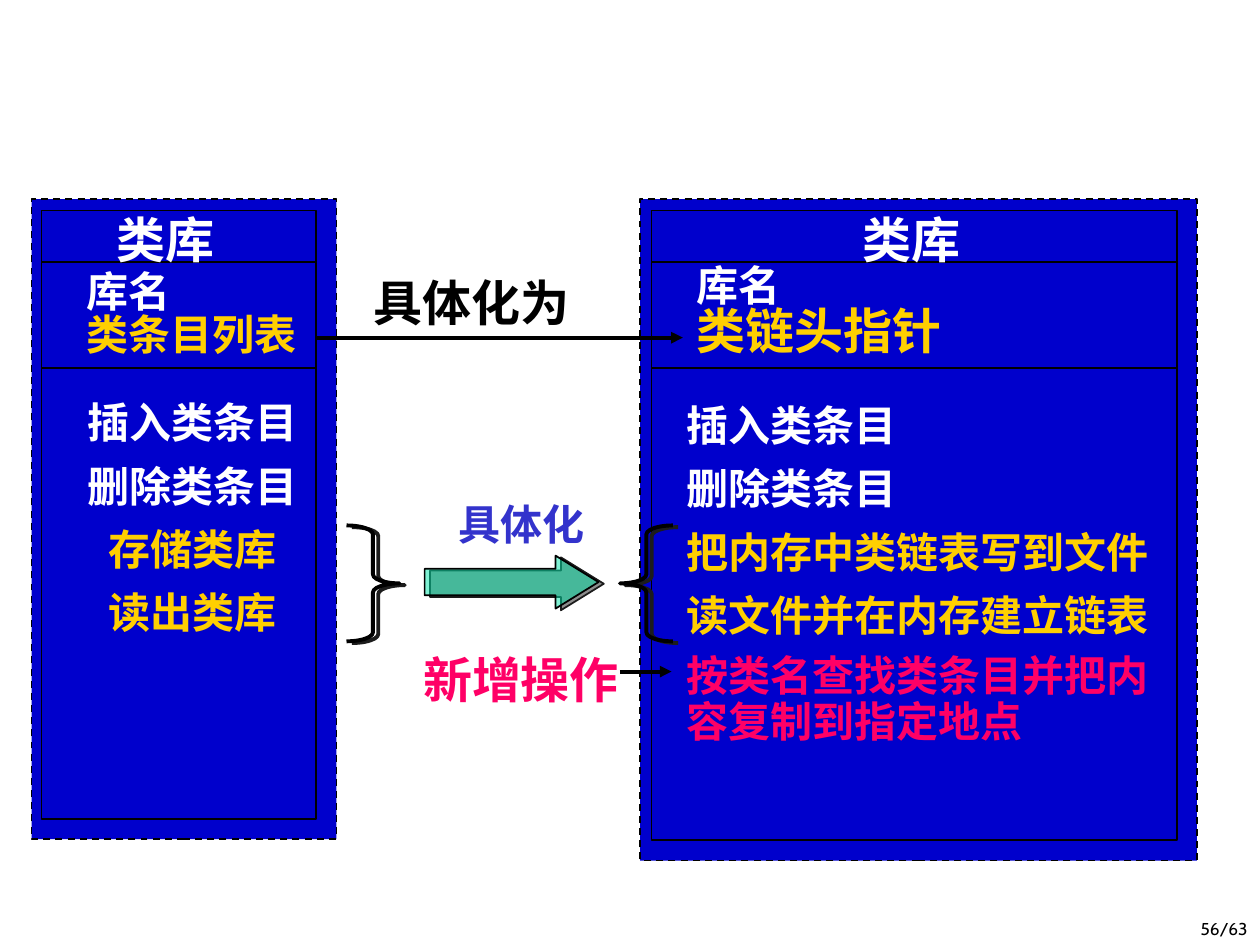
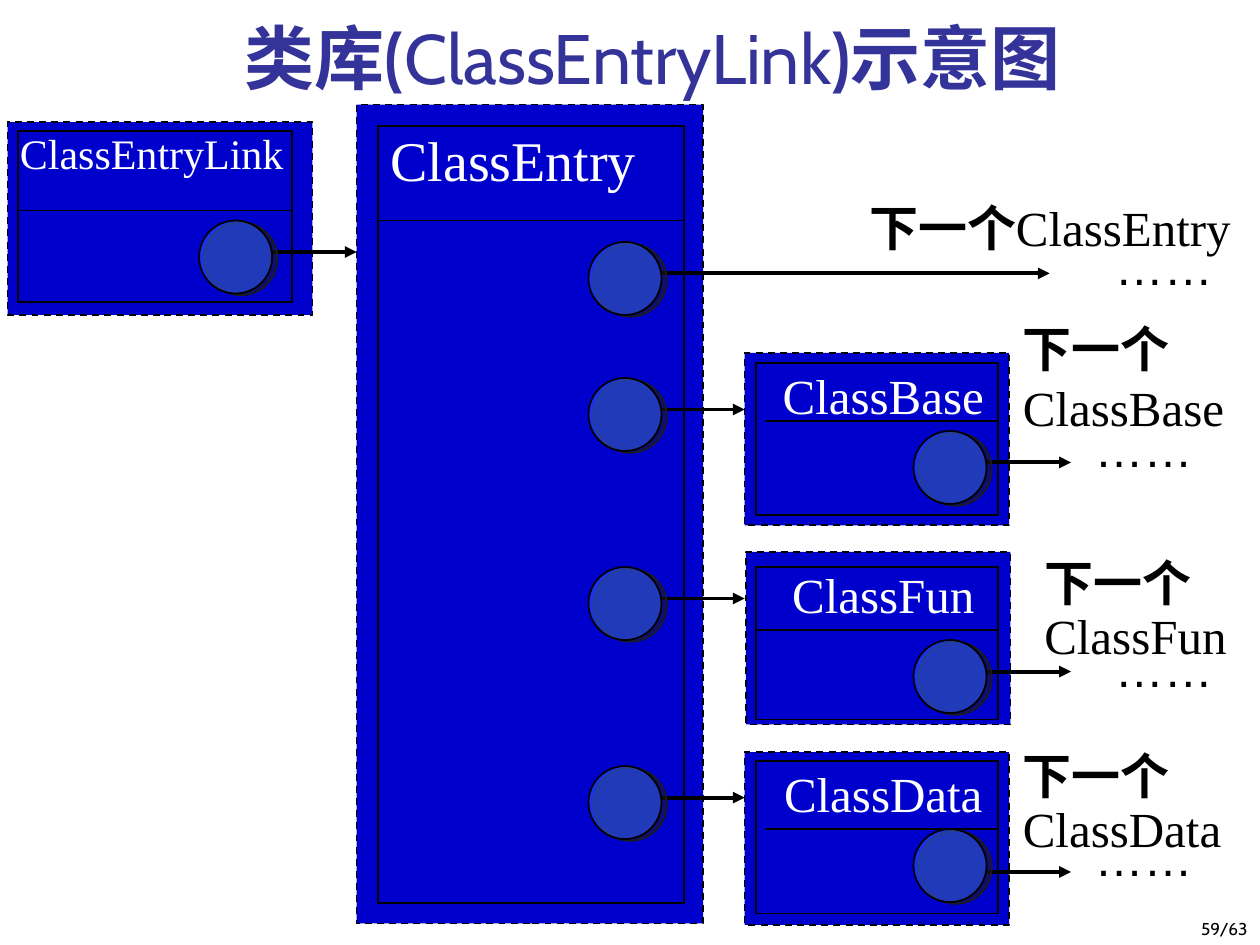
"""Build two slides that show how the class library is made concrete."""
import itertools

import pptx
import pptx.dml.color
import pptx.enum.dml
import pptx.enum.shapes
import pptx.enum.text
import pptx.oxml
import pptx.oxml.ns
import pptx.util

KIND = pptx.enum.shapes.MSO_SHAPE
ALIGN = pptx.enum.text.PP_ALIGN
EDGE = pptx.enum.text.MSO_ANCHOR
PX = 9144
SLACK = 6


class Theme:
    """Colours, line widths and type styles (font, size, colour, bold)."""
    blue, disc, arrow = "0000CC", "3366FF", "00E4A8"
    ink, shade = "000000", "1C1C1C"
    thin, thick = 1, 2.25
    type = {
        "head": ("Roboto", 28, "FFFFFF", True),
        "item": ("Roboto", 24, "FFFFFF", True),
        "gold": ("Roboto", 24, "FFCF01", True),
        "goldbig": ("Roboto", 28, "FFCF01", True),
        "rose": ("Roboto", 24, "FF0066", True),
        "rosebig": ("Roboto", 28, "FF0066", True),
        "violet": ("Roboto", 24, "3333CC", True),
        "verb": ("Roboto", 28, "000000", True),
        "next": ("Arial", 28, "000000", True),
        "dots": ("Arial", 28, "000000", False),
        "name": ("Times New Roman", 28, "000000", False),
        "tag": ("Times New Roman", 28, "FFFFFF", False),
        "tagsmall": ("Times New Roman", 24, "FFFFFF", False),
        "tagbig": ("Times New Roman", 32, "FFFFFF", False),
        "title": ("Cabin", 40, "333399", True),
        "code": ("Cabin", 40, "333399", False),
        "page": ("Cabin", 9.8, "000000", False),
    }


LEFT = {
    "outer": (25, 158, 242, 508), "inner": (33, 167, 218, 483),
    "rules": [(33, 208), (33, 292)],
    "head": (83, 167, 133, 52),
    "fields": (59, 212, 186, 78),
    "names": [("库名", "item"), ("类条目列表", "gold")],
    "list": (60, 308, 186, 203), "align": ALIGN.CENTER,
    "acts": [("插入类条目", "item"), ("删除类条目", "item"),
             ("存储类库", "gold"), ("读出类库", "gold")],
}
RIGHT = {
    "outer": (508, 158, 442, 525), "inner": (517, 167, 417, 500),
    "rules": [(517, 208), (517, 292)],
    "head": (675, 167, 133, 52),
    "fields": (543, 207, 214, 83),
    "names": [("库名", "item"), ("类链头指针", "goldbig")],
    "list": (535, 310, 386, 287), "align": ALIGN.LEFT,
    "acts": [("插入类条目", "item"), ("删除类条目", "item"),
             ("把内存中类链表写到文件", "gold"), ("读文件并在内存建立链表", "gold"),
             ("按类名查找类条目并把内", "rose"), ("容复制到指定地点", "rose")],
}
RHYTHM = [(1.05, 6)] * 4 + [(0.9, 9), (0.9, 0)]
BRACES = [(KIND.LEFT_BRACE, 492), (KIND.RIGHT_BRACE, 275)]
LINKS = [(250, 268, 542), (492, 533, 533)]

BOXES = [
    ((283, 83, 275, 650), (300, 100, 243, 617), (300, 175)),
    ((6, 97, 242, 153), (14, 104, 218, 136), (14, 167)),
    ((591, 280, 210, 137), (600, 288, 192, 121), (607, 334)),
    ((592, 438, 210, 137), (600, 450, 192, 121), (600, 500)),
    ((591, 597, 210, 137), (600, 604, 192, 121), (607, 658)),
]
DISC = 58
DISCS = [
    (158, 175, 200, 283), (467, 192, 217, 833),
    (467, 300, 325, 591), (467, 450, 475, 591), (467, 608, 633, 591),
    (725, 342, 367, 850), (725, 508, 533, 850), (725, 658, 692, 850),
]
TAGS = [("ClassBase", 267), ("ClassFun", 425), ("ClassData", 583)]
NEXT = [
    ("ClassBase", (802, 248, 179, 104), 1),
    ("ClassFun", (819, 439, 174, 94), 0.9),
    ("ClassData", (802, 592, 177, 94), 0.9),
]
DOTS = [(875, 183), (859, 327), (875, 502), (859, 652)]


def px(*nums):
    """Turn px into EMU."""
    return [pptx.util.Emu(n * PX) for n in nums]


def rgb(code):
    """Read a hex colour."""
    return pptx.dml.color.RGBColor.from_string(code)


def tag(name, **attrs):
    """Make a drawing element."""
    node = pptx.oxml.parse_xml(f"<a:{name} {pptx.oxml.ns.nsdecls('a')}/>")
    for key, val in attrs.items():
        node.set(key, str(val))
    return node


def shape(slide, kind, box, fill=None, clear=False, shadow=False,
          width=Theme.thin, dash=False):
    """Add a preset shape, half clear or with a hard shadow on request."""
    form = slide.shapes.add_shape(kind, *px(*box))
    form.shadow.inherit = False
    if fill:
        form.fill.solid()
        form.fill.fore_color.rgb = rgb(fill)
    else:
        form.fill.background()
    form.line.color.rgb = rgb(Theme.ink)
    form.line.width = pptx.util.Pt(width)
    props = form._element.spPr
    if dash:
        form.line.dash_style = pptx.enum.dml.MSO_LINE.DASH
    if clear:
        tone = props.find(pptx.oxml.ns.qn("a:solidFill"))[0]
        tone.append(tag("alpha", val=50000))
    if shadow:
        cast = tag("outerShdw", blurRad=0, dist=40640, dir=18 * 60000,
                   algn="ctr", rotWithShape=0)
        cast.append(tag("srgbClr", val=Theme.shade))
        props.find(pptx.oxml.ns.qn("a:effectLst")).append(cast)
    return form


def line(slide, start, end, arrow=False):
    """Add a thin rule or a thick arrow."""
    link = slide.shapes.add_connector(
        pptx.enum.shapes.MSO_CONNECTOR.STRAIGHT, *px(*start, *end))
    link.line.color.rgb = rgb(Theme.ink)
    link.line.width = pptx.util.Pt(Theme.thick if arrow else Theme.thin)
    if arrow:
        link.line._get_or_add_ln().append(tag("tailEnd", type="triangle"))
    link._element.spPr.append(tag("effectLst"))


def style(font, name):
    """Apply one type style."""
    face, size, color, bold = Theme.type[name]
    font.name, font.size, font.bold = face, pptx.util.Pt(size), bold
    font.color.rgb = rgb(color)


def text(slide, box, rows, rhythm=((1, 0),), align=ALIGN.LEFT,
         wrap=False, anchor=EDGE.TOP, grow=True):
    """Add text; a row is one (text, style) pair or a list of them."""
    x, y, wide, high = box
    if not wrap:
        x -= SLACK // 2 if align == ALIGN.CENTER else 0
        wide += SLACK
    frame = slide.shapes.add_textbox(*px(x, y, wide, high)).text_frame
    frame.word_wrap = wrap
    frame.vertical_anchor = anchor
    sizes = pptx.enum.text.MSO_AUTO_SIZE
    frame.auto_size = sizes.SHAPE_TO_FIT_TEXT if grow else sizes.NONE
    for i, (row, beat) in enumerate(zip(rows, itertools.cycle(rhythm))):
        para = frame.add_paragraph() if i else frame.paragraphs[0]
        para.alignment = align
        para.line_spacing = beat[0]
        if i:
            para.space_before = pptx.util.Pt(beat[1])
        runs = row if isinstance(row, list) else [row]
        for words, look in runs:
            run = para.add_run()
            run.text = words
            style(run.font if len(runs) > 1 else para.font, look)
        for face in list(para._p.iter(pptx.oxml.ns.qn("a:latin"))):
            face.addnext(tag("ea", typeface=face.get("typeface")))


def panel(slide, outer, inner, rules):
    """Add a dashed box around a framed box with rules across it."""
    shape(slide, KIND.RECTANGLE, outer, Theme.blue, dash=True)
    shape(slide, KIND.RECTANGLE, inner, Theme.blue)
    for x, y in rules:
        line(slide, (x, y), (inner[0] + inner[2], y))


def page(slide, mark):
    """Add the page number."""
    text(slide, (792, 700, 208, 50), [(mark, "page")], align=ALIGN.RIGHT,
         wrap=True, anchor=EDGE.BOTTOM, grow=False)


def detail(slide):
    """Draw the abstract class and its concrete form."""
    for part in (LEFT, RIGHT):
        panel(slide, part["outer"], part["inner"], part["rules"])
        text(slide, part["head"], [("类库", "head")], [(0.9, 0)], wrap=True)
        text(slide, part["fields"], part["names"], [(0.85, 0)])
        text(slide, part["list"], part["acts"], RHYTHM, part["align"])
    text(slide, (287, 217, 196, 52), [("具体化为", "verb")], [(0.9, 0)],
         wrap=True)
    text(slide, (326, 492, 175, 76), [("新增操作", "rosebig")], [(1.4, 0)],
         ALIGN.CENTER)
    text(slide, (354, 375, 120, 66), [("具体化", "violet")], [(1.4, 0)],
         ALIGN.CENTER)
    for x, y, end in LINKS:
        line(slide, (x, y), (end, y), arrow=True)
    for kind, x in BRACES:
        brace = shape(slide, kind, (x, 417, 42, 92), shadow=True,
                      width=Theme.thick)
        brace.adjustments[0] = 0.17
    arrow = shape(slide, KIND.RIGHT_ARROW, (337, 441, 138, 42), Theme.arrow,
                  clear=True, shadow=True)
    arrow.adjustments[1] = 0.81
    page(slide, "56/63")


def chain(slide):
    """Draw the linked list of class entries."""
    for outer, inner, rule in BOXES:
        panel(slide, outer, inner, [rule])
    for x, y, level, end in DISCS:
        line(slide, (x + DISC, level), (end, level), arrow=True)
        shape(slide, KIND.OVAL, (x, y, DISC, DISC), Theme.disc,
              clear=True, shadow=True)
    text(slide, (6, 101, 361, 46), [("ClassEntryLink", "tagsmall")],
         [(0.9, 0)], wrap=True)
    text(slide, (300, 101, 291, 58), [("ClassEntry", "tagbig")],
         [(0.9, 0)], wrap=True)
    for name, y in TAGS:
        text(slide, (592, y, 218, 74), [(name, "tag")], [(1.4, 0)],
             ALIGN.CENTER, anchor=EDGE.MIDDLE, grow=False)
    text(slide, (680, 152, 316, 57),
         [[("下一个", "next"), ("ClassEntry", "name")]])
    for name, box, space in NEXT:
        text(slide, box, [("下一个", "next"), (name, "name")], [(space, 0)])
    for x, y in DOTS:
        text(slide, (x, y, 97, 57), [("……", "dots")])
    text(slide, (92, 0, 852, 83),
         [[("类库(", "title"), ("ClassEntryLink", "code"),
           (")示意图", "title")]],
         align=ALIGN.CENTER, wrap=True, anchor=EDGE.BOTTOM, grow=False)
    page(slide, "59/63")


def main():
    """Build and save the deck."""
    deck = pptx.Presentation()
    deck.slide_width, deck.slide_height = px(1000, 750)
    for draw in (detail, chain):
        draw(deck.slides.add_slide(deck.slide_layouts[6]))
    deck.save("out.pptx")


if __name__ == "__main__":
    main()
